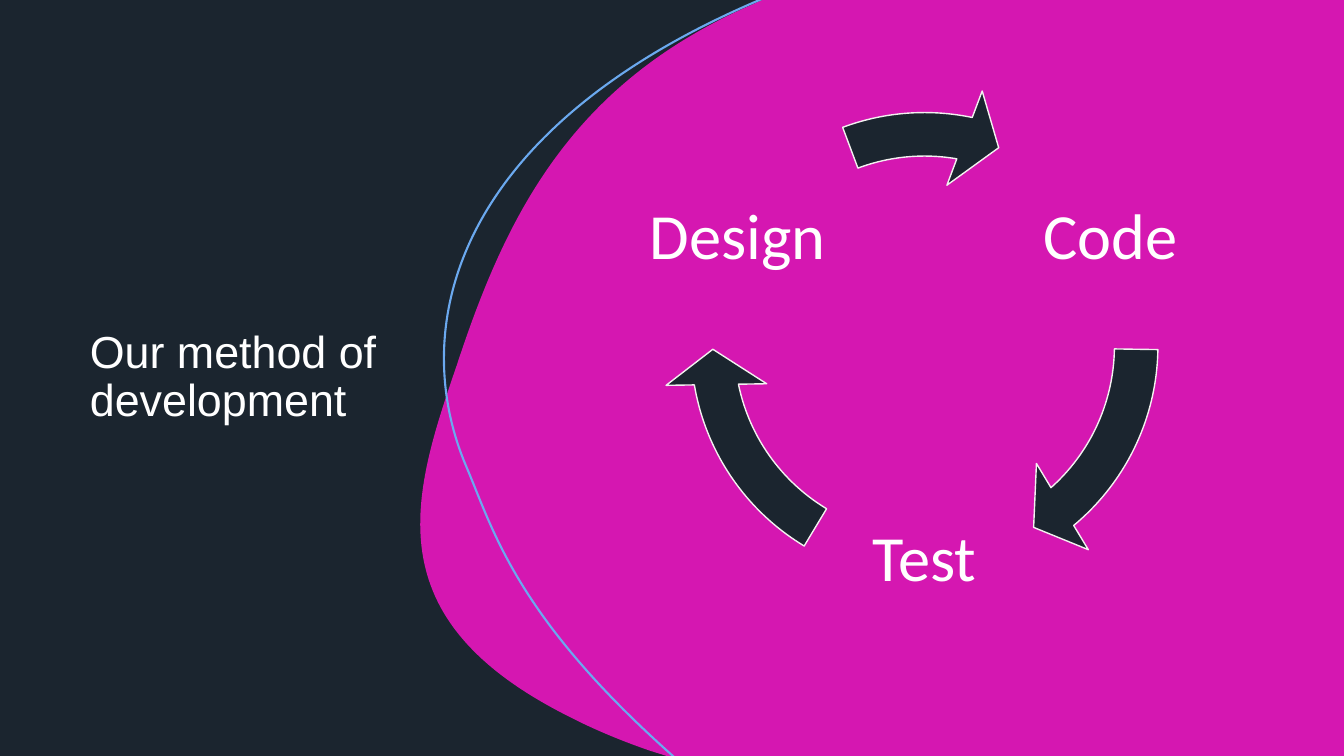
from dataclasses import dataclass

from lxml import etree
from pptx import Presentation
from pptx.dml.color import RGBColor
from pptx.enum.shapes import MSO_SHAPE
from pptx.enum.text import MSO_ANCHOR, MSO_AUTO_SIZE, PP_ALIGN
from pptx.oxml.ns import qn
from pptx.shapes.autoshape import Shape
from pptx.slide import Slide
from pptx.util import Pt

CIRCULAR_ARROW = MSO_SHAPE.CIRCULAR_ARROW
MIDDLE = MSO_ANCHOR.MIDDLE
NO_AUTOFIT = MSO_AUTO_SIZE.NONE
LEFT, CENTER = PP_ALIGN.LEFT, PP_ALIGN.CENTER

NAVY = RGBColor(0x1B, 0x25, 0x2F)
MAGENTA = RGBColor(0xD5, 0x17, 0xB1)
SKY = RGBColor(0x6B, 0xA9, 0xEF)
OFF_WHITE = RGBColor(0xF3, 0xF1, 0xF0)
WHITE = RGBColor(0xFF, 0xFF, 0xFF)

PX = 9525
SLIDE_WIDTH, SLIDE_HEIGHT = 1280, 720
TITLE_ONLY = 5
LABEL_SIZE = 211
LABEL_INSET = 6
CYCLE_LEFT, CYCLE_TOP, CYCLE_SIZE = 631, 80, 499
ARROW_THICKNESS, ARROW_HEAD_ANGLE, ARROW_HEAD_WIDTH = 0.083, 5.767, 0.096

Point = tuple[int, int]


@dataclass(frozen=True)
class Stage:
    name: str
    left: int
    top: int
    arrow_end: float
    arrow_start: float


@dataclass(frozen=True)
class Outline:
    left: int
    top: int
    right: int
    bottom: int
    start: Point
    segments: tuple[tuple[Point, ...], ...]
    closed: bool


STAGES = (
    Stage("Code", 952, 122, 29.614, 0.534),
    Stage("Test", 775, 428, 101.7, 72.62),
    Stage("Design", 597, 122, 168.544, 149.689),
)

BLOB = Outline(
    400, 0, 1280, 720,
    (726, 0),
    (
        ((1280, 0),),
        ((1280, 720),),
        ((635, 720),),
        ((619, 715),),
        ((590, 705), (564, 694), (539, 681)),
        ((356, 588), (392, 473), (435, 348)),
        ((482, 205), (544, 80), (715, 5)),
    ),
    True,
)

SWEEP = Outline(
    423, -4, 733, 721,
    (733, -4),
    (
        ((433, 120), (387, 310), (444, 444)),
        ((470, 505), (491, 587), (642, 721)),
    ),
    False,
)


def draw_outline(slide: Slide, outline: Outline) -> Shape:
    builder = slide.shapes.build_freeform(outline.left, outline.top, scale=PX)
    builder.add_line_segments([(outline.right, outline.bottom)], close=False)
    shape = builder.convert_to_shape()
    shape.shadow.inherit = False

    route = shape.element.xpath(".//a:path")[0]
    for step in list(route):
        route.remove(step)
    for segment in ((outline.start,), *outline.segments):
        if len(route) == 0:
            tag = "a:moveTo"
        else:
            tag = "a:cubicBezTo" if len(segment) == 3 else "a:lnTo"
        step = etree.SubElement(route, qn(tag))
        for x, y in segment:
            etree.SubElement(
                step, qn("a:pt"), x=str(x - outline.left), y=str(y - outline.top)
            )
    if outline.closed:
        etree.SubElement(route, qn("a:close"))
    return shape


def draw_title(slide: Slide) -> None:
    title = slide.shapes.title
    title.left, title.top, title.width, title.height = (
        value * PX for value in (76, 240, 320, 240)
    )
    frame = title.text_frame
    frame.text = "Our method of development"
    frame.word_wrap = True
    frame.auto_size = NO_AUTOFIT
    frame.vertical_anchor = MIDDLE
    paragraph = frame.paragraphs[0]
    paragraph.alignment = LEFT
    paragraph.line_spacing = 0.9
    paragraph.font.name = "Arial"
    paragraph.font.size = Pt(32)
    paragraph.font.color.rgb = WHITE


def draw_label(slide: Slide, stage: Stage) -> None:
    label = slide.shapes.add_textbox(
        stage.left * PX, stage.top * PX, LABEL_SIZE * PX, LABEL_SIZE * PX
    )
    frame = label.text_frame
    frame.text = stage.name
    frame.word_wrap = True
    frame.vertical_anchor = MIDDLE
    frame.margin_left = frame.margin_right = LABEL_INSET * PX
    frame.margin_top = frame.margin_bottom = LABEL_INSET * PX
    paragraph = frame.paragraphs[0]
    paragraph.alignment = CENTER
    paragraph.line_spacing = 0.9
    paragraph.font.name = "Calibri"
    paragraph.font.size = Pt(46)
    paragraph.font.color.rgb = WHITE


def draw_arrow(slide: Slide, stage: Stage) -> None:
    arrow = slide.shapes.add_shape(
        CIRCULAR_ARROW,
        CYCLE_LEFT * PX, CYCLE_TOP * PX, CYCLE_SIZE * PX, CYCLE_SIZE * PX,
    )
    settings = (
        ARROW_THICKNESS, ARROW_HEAD_ANGLE,
        stage.arrow_end, stage.arrow_start, ARROW_HEAD_WIDTH,
    )
    for index, value in enumerate(settings):
        arrow.adjustments[index] = value
    arrow.shadow.inherit = False
    arrow.fill.solid()
    arrow.fill.fore_color.rgb = NAVY
    arrow.line.color.rgb = OFF_WHITE
    arrow.line.width = Pt(1)


def main() -> None:
    deck = Presentation()
    deck.slide_width = SLIDE_WIDTH * PX
    deck.slide_height = SLIDE_HEIGHT * PX
    slide = deck.slides.add_slide(deck.slide_layouts[TITLE_ONLY])
    slide.background.fill.solid()
    slide.background.fill.fore_color.rgb = NAVY

    draw_title(slide)

    blob = draw_outline(slide, BLOB)
    blob.fill.solid()
    blob.fill.fore_color.rgb = MAGENTA
    blob.line.fill.background()

    sweep = draw_outline(slide, SWEEP)
    sweep.fill.background()
    sweep.line.color.rgb = SKY
    sweep.line.width = Pt(1.5)

    for stage in STAGES:
        draw_label(slide, stage)
        draw_arrow(slide, stage)

    deck.save("out.pptx")


if __name__ == "__main__":
    main()
